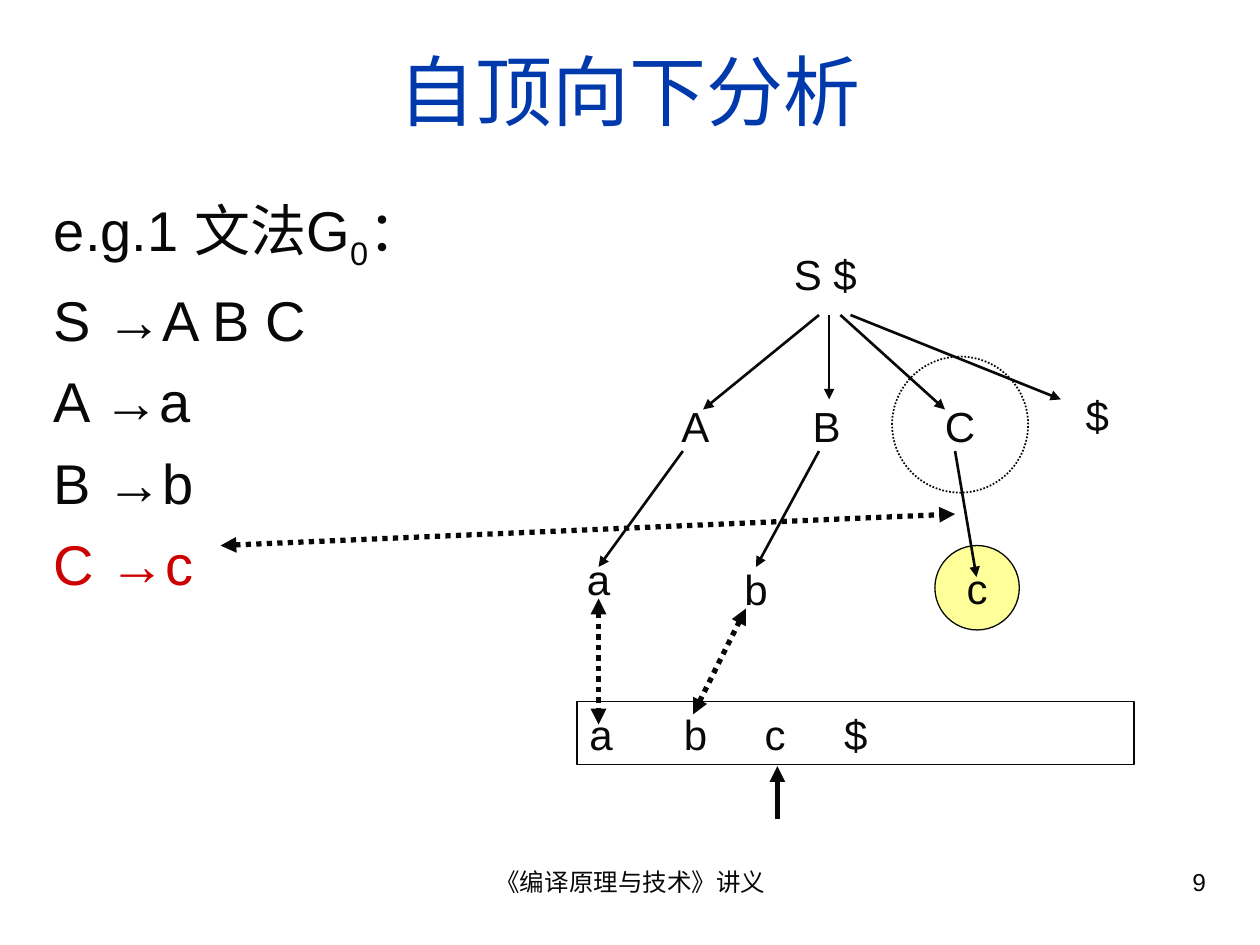
from lxml import etree
from pptx import Presentation
from pptx.dml.color import RGBColor
from pptx.enum.dml import MSO_LINE
from pptx.enum.shapes import MSO_CONNECTOR, MSO_SHAPE
from pptx.enum.text import MSO_ANCHOR, PP_ALIGN
from pptx.oxml.ns import qn
from pptx.util import Inches, Pt

LEFT, CENTER, RIGHT = PP_ALIGN.LEFT, PP_ALIGN.CENTER, PP_ALIGN.RIGHT
TOP, MIDDLE = MSO_ANCHOR.TOP, MSO_ANCHOR.MIDDLE
DOTTED = MSO_LINE.ROUND_DOT
STRAIGHT = MSO_CONNECTOR.STRAIGHT
RECT, OVAL = MSO_SHAPE.RECTANGLE, MSO_SHAPE.OVAL

FONT = "Arial"
COLORS = {"text": "080808", "title": "0039AC", "current": "CC0000", "match": "FFFF99"}


def color(name):
    return RGBColor.from_string(COLORS[name])


def add_run(p, text, size, name="text"):
    r = p.add_run()
    r.text = text
    r.font.name = FONT
    r.font.size = Pt(size)
    r.font.color.rgb = color(name)
    return r


def add_text(s, x, y, w, h, text, size, align=CENTER, anchor=MIDDLE):
    sp = s.shapes.add_textbox(Inches(x), Inches(y), Inches(w), Inches(h))
    tf = sp.text_frame
    tf.word_wrap = True
    tf.vertical_anchor = anchor
    p = tf.paragraphs[0]
    p.alignment = align
    add_run(p, text, size)


def add_outline(s, kind, x, y, w, h, width, fill=None):
    sp = s.shapes.add_shape(kind, Inches(x), Inches(y), Inches(w), Inches(h))
    sp.shadow.inherit = False
    if fill:
        sp.fill.solid()
        sp.fill.fore_color.rgb = color(fill)
    else:
        sp.fill.background()
    sp.line.color.rgb = color("text")
    sp.line.width = Pt(width)
    return sp


def add_arrow(s, x1, y1, x2, y2, width=1.5, double=False):
    cn = s.shapes.add_connector(STRAIGHT, Inches(x1), Inches(y1), Inches(x2), Inches(y2))
    cn.line.color.rgb = color("text")
    cn.line.width = Pt(width)
    if double:
        cn.line.dash_style = DOTTED
    ln = cn.line._get_or_add_ln()
    for end in ("a:headEnd", "a:tailEnd") if double else ("a:tailEnd",):
        etree.SubElement(ln, qn(end), type="triangle")
    etree.SubElement(cn._element.spPr, qn("a:effectLst"))


def add_title(s, x, y, w, h):
    title = s.shapes.title
    title.left, title.top, title.width, title.height = map(Inches, (x, y, w, h))
    tf = title.text_frame
    tf.vertical_anchor = MIDDLE
    p = tf.paragraphs[0]
    p.alignment = CENTER
    add_run(p, "自顶向下分析", 44, "title")


def add_grammar(s, x, y, w, h):
    sp = s.shapes.add_textbox(Inches(x), Inches(y), Inches(w), Inches(h))
    tf = sp.text_frame
    tf.word_wrap = True
    p = tf.paragraphs[0]
    add_run(p, "e.g.1 文法G", 32)
    add_run(p, "0", 32).font._element.set("baseline", "-25000")
    add_run(p, "：", 32)
    rules = [("S →A B C", "text"), ("A →a", "text"), ("B →b", "text"), ("C →c", "current")]
    for rule, name in rules:
        p = tf.add_paragraph()
        p.space_before = Pt(8)
        add_run(p, rule, 32, name)


def add_tree(s, x, y):
    # Nodes: label and centre
    nodes = [("S $", 2.13, 0.34), ("A", 1.1, 1.55), ("B", 2.14, 1.55), ("C", 3.2, 1.55),
             ("$", 4.29, 1.46), ("a", 0.33, 2.76), ("b", 1.58, 2.84)]
    for label, cx, cy in nodes:
        add_text(s, x + cx - 0.4, y + cy - 0.25, 0.8, 0.5, label, 24)

    # Nonterminal being expanded and the terminal it yields
    ring = add_outline(s, OVAL, x + 2.66, y + 1, 1.08, 1.08, 1)
    ring.line.dash_style = DOTTED
    leaf = add_outline(s, OVAL, x + 3, y + 2.5, 0.67, 0.67, 0.75, "match")
    tf = leaf.text_frame
    tf.vertical_anchor = MIDDLE
    p = tf.paragraphs[0]
    p.alignment = CENTER
    add_run(p, "c", 24)

    # Branches
    branches = [(2.08, 0.67, 1.16, 1.42), (2.16, 0.67, 2.16, 1.34),
                (2.25, 0.67, 3.08, 1.42), (2.33, 0.67, 4, 1.34),
                (1, 1.75, 0.33, 2.67), (2.08, 1.75, 1.58, 2.67),
                (3.16, 1.75, 3.33, 2.75)]
    for x1, y1, x2, y2 in branches:
        add_arrow(s, x + x1, y + y1, x + x2, y + y2)


def add_input(s, x, y, w, h):
    sp = add_outline(s, RECT, x, y, w, h, 0.75)
    tf = sp.text_frame
    tf.vertical_anchor = MIDDLE
    p = tf.paragraphs[0]
    p.alignment = LEFT
    tabs = etree.SubElement(p._p.get_or_add_pPr(), qn("a:tabLst"))
    for pos in (0.75, 1.39, 2.02):
        etree.SubElement(tabs, qn("a:tab"), pos=str(Inches(pos)), algn="l")
    add_run(p, "a\tb\tc\t$", 24)
    # Read position
    add_arrow(s, x + 1.59, y + h + 0.43, x + 1.59, y + h + 0.01, 3)


def add_matches(s):
    matches = [(4.75, 4.75, 4.75, 5.75), (5.5, 5.67, 5.92, 4.83), (1.75, 4.33, 7.58, 4.08)]
    for ends in matches:
        add_arrow(s, *ends, width=3, double=True)


def add_footer(s, y, h):
    add_text(s, 3.42, y, 3.17, h, "《编译原理与技术》讲义", 14, CENTER, TOP)
    add_text(s, 7.17, y, 2.5, h, "9", 14, RIGHT, TOP)


def main():
    prs = Presentation()
    prs.slide_width, prs.slide_height = Inches(10), Inches(7.5)
    s = prs.slides.add_slide(prs.slide_layouts[5])
    add_title(s, 0.33, 0.25, 9.34, 0.92)
    add_grammar(s, 0.33, 1.5, 3.75, 3.25)
    add_input(s, 4.58, 5.57, 4.42, 0.5)
    add_tree(s, 4.42, 1.83)
    add_matches(s)
    add_footer(s, 6.83, 0.52)
    prs.save("out.pptx")


if __name__ == "__main__":
    main()
